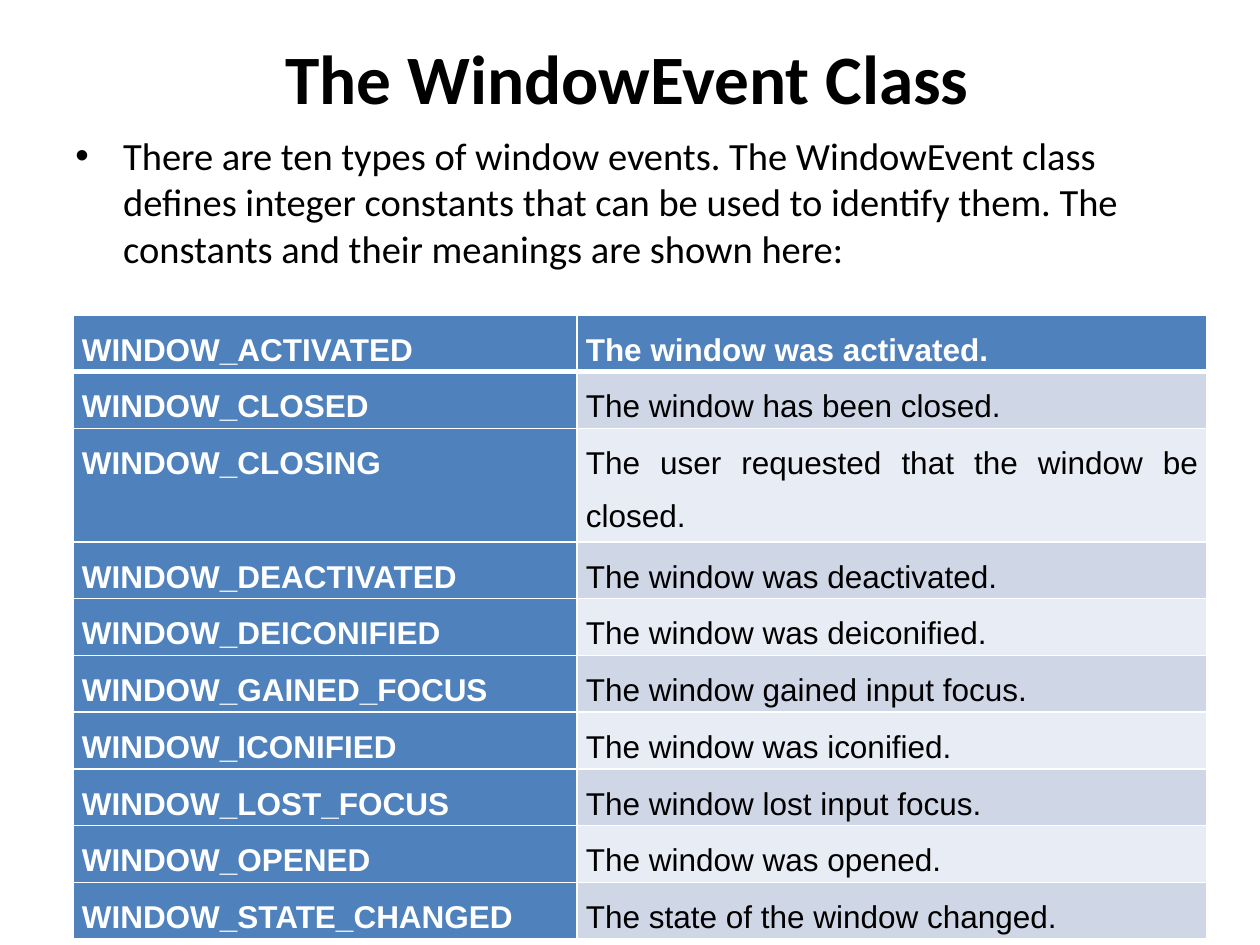
from dataclasses import dataclass

from lxml import etree
from pptx import Presentation
from pptx.dml.color import RGBColor
from pptx.enum import text as t
from pptx.oxml import ns
from pptx.util import Inches, Pt

HUES = {"ink": "000000", "white": "FFFFFF", "blue": "4F81BD",
        "dark": "CFD7E7", "light": "E8ECF4"}


@dataclass
class Event:
    name: str
    note: str


EVENTS = [
    Event("WINDOW_ACTIVATED", "The window was activated."),
    Event("WINDOW_CLOSED", "The window has been closed."),
    Event("WINDOW_CLOSING", "The user requested that the window be closed."),
    Event("WINDOW_DEACTIVATED", "The window was deactivated."),
    Event("WINDOW_DEICONIFIED", "The window was deiconified."),
    Event("WINDOW_GAINED_FOCUS", "The window gained input focus."),
    Event("WINDOW_ICONIFIED", "The window was iconified."),
    Event("WINDOW_LOST_FOCUS", "The window lost input focus."),
    Event("WINDOW_OPENED", "The window was opened."),
    Event("WINDOW_STATE_CHANGED", "The state of the window changed."),
]


def hue(key: str) -> RGBColor:
    return RGBColor.from_string(HUES[key])


def write(frame, words: str, *, size: float, font="Calibri", color="ink",
          bold=False, align=t.PP_ALIGN.LEFT, lead=None):
    """Fill a text frame with one formatted paragraph and return it."""
    para = frame.paragraphs[0]
    para.alignment = align
    if lead:
        para.line_spacing = lead
    run = para.add_run()
    run.text = words
    run.font.size, run.font.name, run.font.bold = Pt(size), font, bold
    run.font.color.rgb = hue(color)
    return para


def add_box(slide, left: float, top: float, width: float, height: float):
    box = slide.shapes.add_textbox(Inches(left), Inches(top),
                                   Inches(width), Inches(height))
    box.text_frame.word_wrap = True
    return box.text_frame


def add_bullet(para, indent: float) -> None:
    props = para._p.get_or_add_pPr()
    props.set("marL", str(Inches(indent)))
    props.set("indent", str(-Inches(indent)))
    font = etree.SubElement(props, ns.qn("a:buFont"))
    font.set("typeface", "Arial")
    mark = etree.SubElement(props, ns.qn("a:buChar"))
    mark.set("char", "•")


def set_edges(cell, top: float, base: float) -> None:
    """Draw white cell borders; widths are in points."""
    props = cell._tc.get_or_add_tcPr()
    edges = {"lnL": 1, "lnR": 1, "lnT": top, "lnB": base}
    for place, (tag, width) in enumerate(edges.items()):
        line = etree.Element(ns.qn("a:" + tag), w=str(Pt(width)))
        fill = etree.SubElement(line, ns.qn("a:solidFill"))
        etree.SubElement(fill, ns.qn("a:srgbClr"), val=HUES["white"])
        props.insert(place, line)


def fill_cell(cell, words: str, row: int, strong: bool) -> None:
    cell.margin_left = cell.margin_right = Inches(0.07)
    cell.margin_top = cell.margin_bottom = 0
    band = "dark" if row % 2 else "light"
    cell.fill.solid()
    cell.fill.fore_color.rgb = hue("blue" if strong else band)
    set_edges(cell, 3 if row == 1 else 1, 3 if row == 0 else 1)
    write(cell.text_frame, words, size=18, font="Arial", bold=strong,
          color="white" if strong else "ink",
          align=t.PP_ALIGN.JUSTIFY, lead=1.5)


def add_events(slide, events: list[Event]) -> None:
    high = 0.45
    table = slide.shapes.add_table(
        len(events), 2, Inches(0.58), Inches(2.5),
        Inches(9), Inches(high * len(events))).table
    for col, width in zip(table.columns, (4, 5)):
        col.width = Inches(width)
    for row, event in enumerate(events):
        table.rows[row].height = Inches(high)
        fill_cell(table.cell(row, 0), event.name, row, True)
        fill_cell(table.cell(row, 1), event.note, row, row == 0)


def main() -> None:
    deck = Presentation()
    deck.slide_width, deck.slide_height = Inches(10), Inches(7.5)
    slide = deck.slides.add_slide(deck.slide_layouts[6])

    # Title
    title = add_box(slide, 0.5, 0.3, 9.08, 0.62)
    title.vertical_anchor = t.MSO_ANCHOR.MIDDLE
    write(title, "The WindowEvent Class ", size=39.6, bold=True,
          align=t.PP_ALIGN.CENTER)

    # Introduction
    intro = add_box(slide, 0.5, 1, 9, 4.95)
    para = write(intro, "There are ten types of window events. The WindowEvent "
                 "class defines integer constants that can be used to identify "
                 "them. The constants and their meanings are shown here:",
                 size=22)
    add_bullet(para, 0.38)

    # Event constants
    add_events(slide, EVENTS)
    deck.save("out.pptx")


if __name__ == "__main__":
    main()
